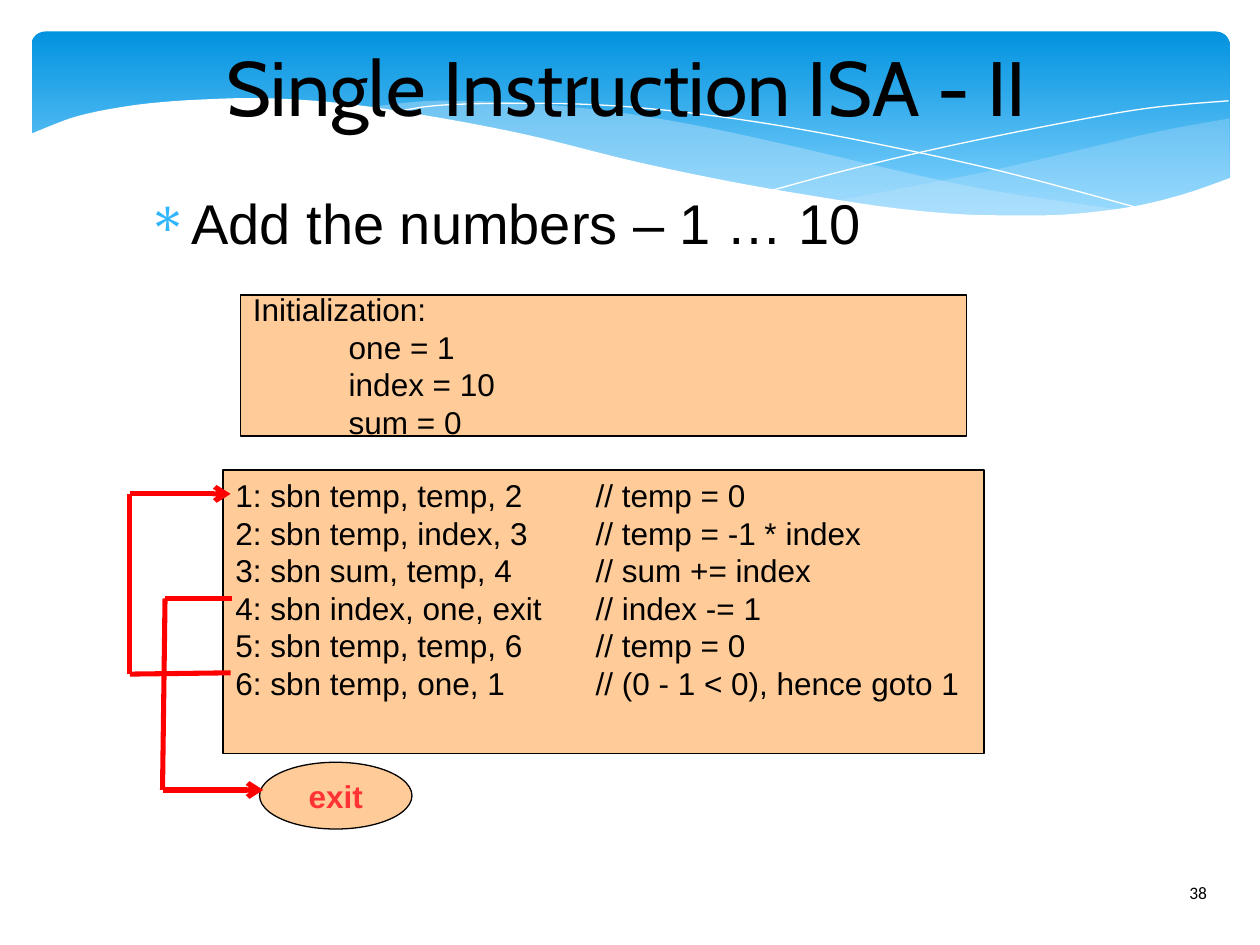
from lxml import etree
from pptx import Presentation
from pptx.dml.color import RGBColor
from pptx.enum.shapes import MSO_CONNECTOR, MSO_SHAPE
from pptx.enum.text import MSO_ANCHOR, PP_ALIGN
from pptx.oxml.ns import qn
from pptx.util import Inches, Pt

LINE = MSO_CONNECTOR.STRAIGHT
ROUND, RECT, OVAL = MSO_SHAPE.ROUNDED_RECTANGLE, MSO_SHAPE.RECTANGLE, MSO_SHAPE.OVAL
TOP, MID = MSO_ANCHOR.TOP, MSO_ANCHOR.MIDDLE
LEFT, CENTER = PP_ALIGN.LEFT, PP_ALIGN.CENTER

BLACK = RGBColor(0x00, 0x00, 0x00)
WHITE = RGBColor(0xFF, 0xFF, 0xFF)
DEEP = RGBColor(0x02, 0x93, 0xE0)
SKY = RGBColor(0x83, 0xD3, 0xFE)
MIST = RGBColor(0xC6, 0xE7, 0xFC)
PEACH = RGBColor(0xFF, 0xCC, 0x99)
RED = RGBColor(0xFF, 0x00, 0x00)
CORAL = RGBColor(0xFF, 0x33, 0x33)
BLUE = RGBColor(0x31, 0xB6, 0xFD)

deck = Presentation()
deck.slide_width, deck.slide_height = Inches(10), Inches(7.5)
COL = deck.slide_width / 100  # the grid has 100 columns and 75 rows
ROW = deck.slide_height / 75
slide = deck.slides.add_slide(deck.slide_layouts[6])
shapes = slide.shapes


def place(x, y, w, h):
    """Turn a box in grid units into slide lengths."""
    return round(x * COL), round(y * ROW), round(w * COL), round(h * ROW)


def smooth(knots, steps=6):
    """Return points on a Catmull-Rom curve through the knots."""
    ends = [knots[0], *knots, knots[-1]]
    dots = [knots[0]]
    for a, b, c, d in zip(ends, ends[1:], ends[2:], ends[3:]):
        for step in range(1, steps + 1):
            t = step / steps
            dots.append(tuple(
                q + t * ((r - p) + t * ((2 * p - 5 * q + 4 * r - s)
                         + t * (3 * q - p - 3 * r + s))) / 2
                for p, q, r, s in zip(a, b, c, d)))
    return dots


# Banner
band = shapes.add_shape(ROUND, *place(2.5, 2.5, 95.1, 15.6))
band.adjustments[0] = 0.07
band.shadow.inherit = False
band.line.fill.background()
band.fill.gradient()
band.fill.gradient_angle = 270
for stop, tint, spot in zip(band.fill.gradient_stops, (DEEP, SKY), (0, 0.9)):
    stop.color.rgb, stop.position = tint, spot

# Waves: curved sides joined in turn, fill, opacity in percent
waves = [
    ([[(97.6, 9.4), (92.1, 10.4), (86.1, 11.8), (77.9, 13.7), (66.1, 16)],
      [(66.1, 16), (71.9, 16.7), (76.9, 17.1), (81.4, 17.2), (86.3, 17),
       (90.5, 16.3), (94.2, 15.4), (97.6, 14.1)]], MIST, 29),
    ([[(89.3, 16.7), (83.7, 15.9), (77.5, 14.9), (70.6, 13.4), (62.9, 11.6),
       (55.5, 10), (48.9, 8.9), (42, 8.2), (36.1, 8), (32.8, 8.1), (28.6, 8.6)],
      [(28.6, 8.6), (36.2, 9.7), (44.9, 11.6), (56.6, 14.3), (63.4, 15.6),
       (69.5, 16.5), (76.1, 17.1), (81.8, 17.3), (85.7, 17.1), (89.3, 16.7)]],
     MIST, 40),
    ([[(30.9, 9), (34.4, 8.4), (40.1, 8.2), (46.9, 8.3), (53.3, 8.8),
       (60.8, 9.8), (69.5, 11.4), (79.5, 13.6), (90.7, 16.6)]], None, 100),
    ([[(61.3, 15.1), (67.2, 13.5), (74.8, 11.7), (83.6, 9.9), (91, 8.6),
       (97.5, 8)]], None, 100),
    ([[(97.7, 14.1), (94, 15.4), (89.9, 16.4), (85, 17), (80.9, 17.1),
       (76.1, 17), (70.8, 16.5), (64.8, 15.6), (57.9, 14.4), (50.3, 12.8),
       (41.8, 10.7), (34, 9.2), (27.1, 8.2), (21.1, 7.8), (16.1, 7.9),
       (11.9, 8.2), (8.5, 8.7), (5.9, 9.3), (4, 10), (2.3, 10.7)],
      [(2.3, 22.4), (97.7, 22.4)]], WHITE, 100),
]
for sides, fill, clear in waves:
    dots = [(x * COL, y * ROW) for side in sides for x, y in smooth(side)]
    pen = shapes.build_freeform(*dots[0])
    pen.add_line_segments(dots[1:], close=fill is not None)
    wave = pen.convert_to_shape()
    wave.shadow.inherit = False
    if fill is None:
        wave.fill.background()
        wave.line.color.rgb, wave.line.width = WHITE, 0
        continue
    wave.line.fill.background()
    wave.fill.solid()
    wave.fill.fore_color.rgb = fill
    if clear < 100:
        tint = next(wave.fill._xPr.iter(qn("a:srgbClr")))
        etree.SubElement(tint, qn("a:alpha")).set("val", str(clear * 1000))

# Text: preset, box, anchor, insets, align, font, size, colour, lines
init = ["Initialization:", "one = 1", "index = 10", "sum = 0"]
code = [
    "1: sbn temp, temp, 2\t// temp = 0",
    "2: sbn temp, index, 3\t// temp = -1 * index",
    "3: sbn sum, temp, 4\t// sum += index",
    "4: sbn index, one, exit\t// index -= 1",
    "5: sbn temp, temp, 6\t// temp = 0",
    "6: sbn temp, one, 1\t// (0 - 1 < 0), hence goto 1",
]
parts = [
    (None, (9.2, 1.7, 81.1, 10.2), MID, 0, CENTER, "Cabin", 44, BLACK,
     ["Single Instruction ISA - II"]),
    (None, (9.7, 15, 80.3, 6.3), TOP, 0, LEFT, "Arial", 32, BLACK,
     ["Add the numbers – 1 … 10"]),
    (RECT, (17.7, 37.3, 60.4, 22.5), TOP, 1, LEFT, "Arial", 18, BLACK, code),
    (RECT, (19.1, 23.4, 57.6, 11.2), MID, 1, LEFT, "Arial", 18, BLACK, init),
    (OVAL, (20.6, 60.5, 12.1, 5.3), MID, 1, CENTER, "Arial", 18, CORAL, ["exit"]),
    (None, (93.4, 69.5, 6.1, 4), TOP, 1, LEFT, "Calibri", 10, BLACK, ["38"]),
]
for kind, box, anchor, inset, align, font, size, ink, lines in parts:
    if kind is None:
        item = shapes.add_textbox(*place(*box))
    else:
        item = shapes.add_shape(kind, *place(*box))
        item.shadow.inherit = False
        item.fill.solid()
        item.fill.fore_color.rgb = PEACH
        item.line.color.rgb, item.line.width = BLACK, 0
    frame = item.text_frame
    frame.word_wrap, frame.vertical_anchor = True, anchor
    frame.margin_left = frame.margin_right = round(inset * COL)
    frame.margin_top = frame.margin_bottom = round(inset * ROW / 2)
    for rank, line in enumerate(lines):
        para = frame.paragraphs[0] if rank == 0 else frame.add_paragraph()
        para.alignment = align
        run = para.add_run()
        run.text = line
        run.font.name, run.font.size = font, Pt(size)
        run.font.bold, run.font.color.rgb = ink == CORAL, ink
        props = para._p.get_or_add_pPr()
        if len(lines) > 1:
            para.line_spacing = Pt(21.5)
        if lines is init and rank:
            props.set("marL", str(round(7.6 * COL)))
        elif lines is code:
            tabs = etree.SubElement(props, qn("a:tabLst"))
            tab = etree.SubElement(tabs, qn("a:tab"))
            tab.set("pos", str(round(28.6 * COL)))
            tab.set("algn", "l")
        elif size == 32:
            props.set("marL", str(round(5.5 * COL)))
            props.set("indent", str(round(-3.5 * COL)))
            hue = etree.SubElement(props, qn("a:buClr"))
            etree.SubElement(hue, qn("a:srgbClr")).set("val", str(BLUE))
            etree.SubElement(props, qn("a:buChar")).set("char", "∗")

# Jumps: each path ends in an arrow
jumps = [
    [(18.3, 53.4), (10.3, 53.5), (10.3, 39.2), (18.3, 39.2)],
    [(18.4, 47.5), (13.1, 47.5), (12.9, 62.7), (20.9, 62.7)],
]
for jump in jumps:
    for start, end in zip(jump, jump[1:]):
        link = shapes.add_connector(LINE, *place(*start, *end))
        link.line.color.rgb, link.line.width = RED, Pt(2.89)
        if end == jump[-1]:
            edge = link.line._get_or_add_ln()
            etree.SubElement(edge, qn("a:tailEnd")).set("type", "arrow")
        etree.SubElement(link._element.spPr, qn("a:effectLst"))

deck.save("out.pptx")
